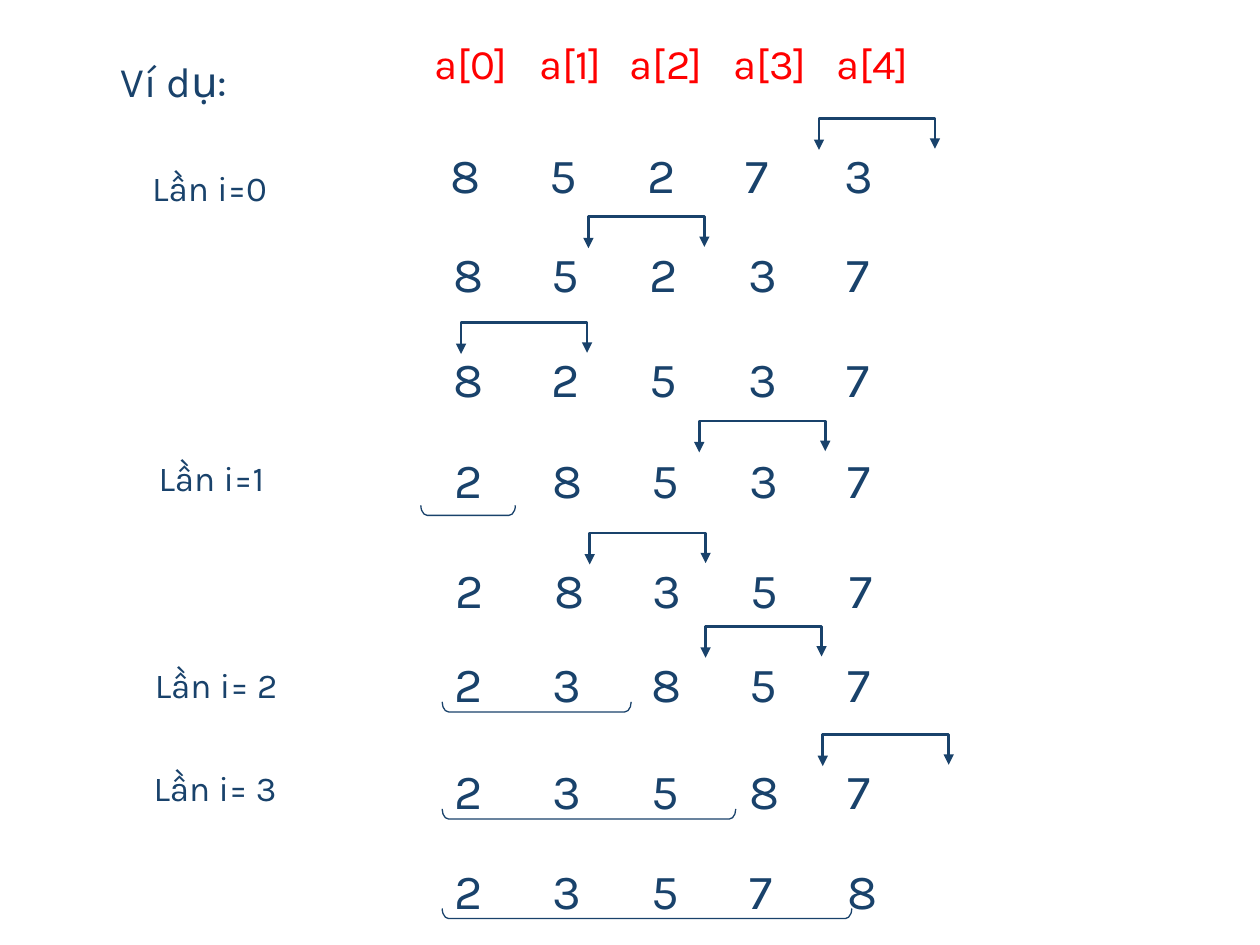
from pptx import Presentation
from pptx.dml.color import RGBColor
from pptx.enum.shapes import MSO_SHAPE
from pptx.enum.text import MSO_AUTO_SIZE
from pptx.oxml.ns import qn
from pptx.util import Inches, Pt
from lxml.etree import SubElement

COLORS = {"navy": "19426B", "red": "FF0000"}
FONT = "Karla"

# Content: label text, left, top, width, height, size
LABELS = [
    ("Ví dụ:", 0.42, 0.35, 1.97, 0.58, 24),
    ("Lần i=0", 0.67, 1.24, 1.67, 0.42, 20),
    ("Lần i=1", 0.72, 3.54, 1.67, 0.42, 20),
    ("Lần i= 2", 0.69, 5.18, 2.19, 0.42, 20),
    ("Lần i= 3", 0.68, 6.00, 1.98, 0.36, 20),
]
HEADER = ["a[0]", "a[1]", "a[2]", "a[3]", "a[4]"]
HEADER_TABS = [0.83, 1.55, 2.37, 3.19]
# Array state, left, top
ROWS = [
    ("85273", 3.48, 1.10),
    ("85237", 3.50, 1.88),
    ("82537", 3.50, 2.72),
    ("28537", 3.51, 3.52),
    ("28357", 3.52, 4.39),
    ("23857", 3.51, 5.14),
    ("23587", 3.51, 5.99),
    ("23578", 3.51, 6.78),
]
COLUMN_PITCH = 0.78
# Swap arrows: left, top, width
SWAPS = [
    (6.50, 0.94, 0.92), (4.67, 1.72, 0.92), (3.66, 2.56, 1),
    (5.55, 3.34, 1), (4.68, 4.23, 0.92), (5.60, 4.97, 0.92),
    (6.53, 5.83, 1),
]
SWAP_HEIGHT = 0.25
# Brackets under the sorted part: left, top, width
SORTED_PARTS = [
    (3.34, 4.01, 0.75), (3.51, 5.57, 1.5),
    (3.51, 6.42, 2.33), (3.51, 7.21, 3.25),
]
BRACKET_HEIGHT = 0.08


def add_text(slide, text, left, top, width, height, size,
             color="navy", tabs=(), label=False):
    shape = slide.shapes.add_textbox(*map(Inches, (left, top, width, height)))
    frame = shape.text_frame
    frame.word_wrap = True
    paragraph = frame.paragraphs[0]
    properties = paragraph._p.get_or_add_pPr()
    if label:
        paragraph.level = 1
        paragraph.line_spacing = 1.1
        properties.set("marL", str(Inches(1)))
        properties.set("indent", str(Inches(-0.56)))
    else:
        frame.auto_size = MSO_AUTO_SIZE.SHAPE_TO_FIT_TEXT
    if tabs:
        tab_list = SubElement(properties, qn("a:tabLst"))
        for position in tabs:
            SubElement(tab_list, qn("a:tab"), pos=str(Inches(position)), algn="l")
    run = paragraph.add_run()
    run.text = text
    run.font.name = FONT
    run.font.size = Pt(size)
    run.font.color.rgb = RGBColor.from_string(COLORS[color])


def style_outline(shape, width):
    shape.shadow.inherit = False
    shape.fill.background()
    shape.line.color.rgb = RGBColor.from_string(COLORS["navy"])
    shape.line.width = Pt(width)


def add_swap(slide, left, top, width):
    right, bottom = left + width, top + SWAP_HEIGHT
    points = [(left, top), (right, top), (right, bottom - 0.01)]
    builder = slide.shapes.build_freeform(Inches(left), Inches(bottom))
    builder.add_line_segments([(Inches(x), Inches(y)) for x, y in points], close=False)
    shape = builder.convert_to_shape()
    style_outline(shape, 1.5)
    line = shape.line._get_or_add_ln()
    for end in ("a:headEnd", "a:tailEnd"):
        SubElement(line, qn(end), type="triangle")


def add_bracket(slide, left, top, width):
    # A tall left bracket turned about its centre to open upwards
    center_x, center_y = left + width / 2, top + BRACKET_HEIGHT / 2
    shape = slide.shapes.add_shape(
        MSO_SHAPE.LEFT_BRACKET,
        Inches(center_x - BRACKET_HEIGHT / 2), Inches(center_y - width / 2),
        Inches(BRACKET_HEIGHT), Inches(width))
    shape.rotation = 270
    shape.adjustments[0] = 0.63
    style_outline(shape, 0.75)


def main():
    presentation = Presentation()
    presentation.slide_width, presentation.slide_height = Inches(10), Inches(7.5)
    slide = presentation.slides.add_slide(presentation.slide_layouts[6])

    # Labels and column headings
    for text, left, top, width, height, size in LABELS:
        add_text(slide, text, left, top, width, height, size, label=True)
    add_text(slide, "\t".join(HEADER), 3.35, 0.25, 4.82, 0.5, 24,
             color="red", tabs=HEADER_TABS)

    # Array states
    column_tabs = [COLUMN_PITCH * column for column in range(1, len(HEADER))]
    for digits, left, top in ROWS:
        add_text(slide, "\t".join(digits), left, top, 5.58, 0.57, 28, tabs=column_tabs)

    # Swaps and sorted parts
    for swap in SWAPS:
        add_swap(slide, *swap)
    for sorted_part in SORTED_PARTS:
        add_bracket(slide, *sorted_part)

    presentation.save("out.pptx")


if __name__ == "__main__":
    main()
